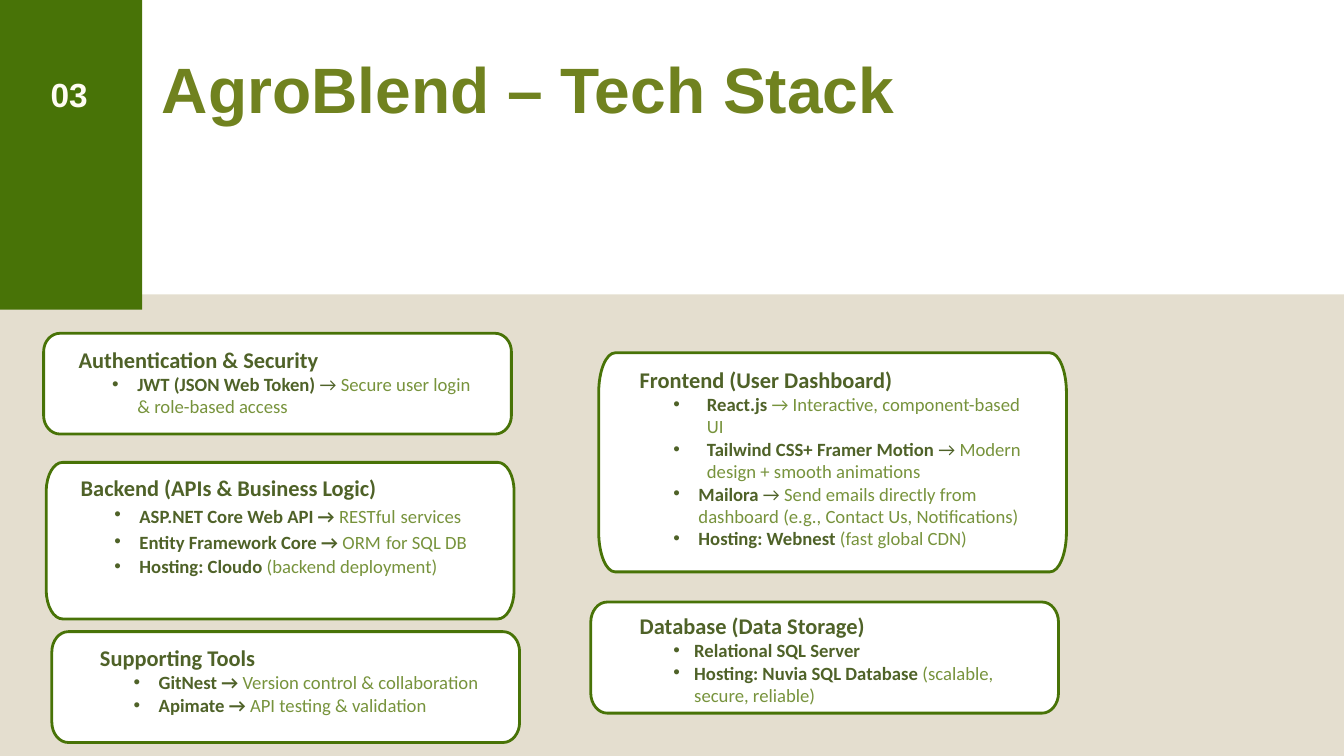
from dataclasses import dataclass

from lxml import etree
from pptx import Presentation
from pptx.dml.color import RGBColor
from pptx.enum.shapes import MSO_SHAPE
from pptx.enum.text import MSO_ANCHOR, MSO_AUTO_SIZE, PP_ALIGN
from pptx.oxml.ns import qn
from pptx.util import Cm, Pt

RECTANGLE = MSO_SHAPE.RECTANGLE
TOP = MSO_ANCHOR.TOP
NO_FIT = MSO_AUTO_SIZE.NONE
LEFT = PP_ALIGN.LEFT


@dataclass(frozen=True)
class Theme:
    """Colours, fonts and type sizes of the slide."""
    green: str = "487307"
    sand: str = "9D884E"
    sand_alpha: int = 27000
    card: str = "FFFFFF"
    number: str = "FFFCF3"
    title: str = "70821F"
    strong: str = "4F6228"
    soft: str = "77933C"
    gap: str = "000000"
    head_font: str = "Arial"
    body_font: str = "Calibri"
    number_size: float = 35.8
    title_size: float = 68.7
    heading_size: float = 24
    item_size: float = 20
    border: float = 3


THEME = Theme()
RUN_STYLES = {
    "heading": (THEME.heading_size, THEME.strong, True),
    "strong": (THEME.item_size, THEME.strong, True),
    "plain": (THEME.item_size, THEME.strong, False),
    "soft": (THEME.item_size, THEME.soft, False),
    "gap": (THEME.heading_size, THEME.gap, False),
}
NARROW, MEDIUM, WIDE = (2.06, 0.79), (2.22, 0.95), (2.54, 1.27)
CARD_WIDTH = 17.68
LIST_WIDTH = 15.06

CARDS = [
    ((1.65, 12.6, CARD_WIDTH, 3.81), (1.32, 0.48, LIST_WIDTH), "Authentication & Security", [
        (MEDIUM, [("JWT (JSON Web Token)", "strong"), (" → ", "plain"),
                  ("Secure user login & role-based access", "soft")]),
    ]),
    ((22.63, 13.34, CARD_WIDTH, 8.28), (1.55, 0.49, LIST_WIDTH), "Frontend (User Dashboard)", [
        (WIDE, [("React.js ", "strong"), ("→ Interactive, component-based UI", "soft")]),
        (WIDE, [("Tailwind CSS+ Framer Motion ", "strong"), ("→ ", "plain"),
                ("Modern design + smooth animations", "soft")]),
        (MEDIUM, [("Mailora ", "strong"), ("→ ", "plain"),
                  ("Send emails directly from dashboard (e.g., Contact Us, Notifications)", "soft")]),
        (MEDIUM, [("Hosting: Webnest ", "strong"), ("(fast global CDN)", "soft")]),
    ]),
    ((22.33, 22.76, CARD_WIDTH, 4.2), (1.85, 0.38, LIST_WIDTH), "Database (Data Storage)", [
        (NARROW, [("Relational SQL Server", "strong")]),
        (NARROW, [("Hosting: Nuvia SQL Database ", "strong"),
                  ("(scalable, secure, reliable)", "soft")]),
    ]),
    ((1.75, 17.48, CARD_WIDTH, 5.92), (1.3, 0.43, LIST_WIDTH), "Backend (APIs & Business Logic)", [
        (MEDIUM, [("ASP.NET Core Web API → ", "strong"), ("RESTful", "soft"),
                  (" ", "gap"), ("services", "soft")]),
        (MEDIUM, [("Entity Framework Core → ", "strong"), ("ORM", "soft"),
                  (" ", "gap"), ("for SQL DB", "soft")]),
        (MEDIUM, [("Hosting: Cloudo ", "strong"), ("(backend deployment)", "soft")]),
    ]),
    ((1.96, 23.88, CARD_WIDTH, 4.19), (1.82, 0.48, 14.55), "Supporting Tools", [
        (MEDIUM, [("GitNest → ", "strong"), ("Version control & collaboration", "soft")]),
        (MEDIUM, [("Apimate → ", "strong"), ("API testing & validation", "soft")]),
    ]),
]


def place(shape, box):
    """Move and size a shape to a box in centimetres."""
    shape.left, shape.top, shape.width, shape.height = map(Cm, box)


def prepare_frame(frame):
    """Give a text frame no insets, wrapping on and text from the top."""
    frame.margin_left = frame.margin_right = frame.margin_top = frame.margin_bottom = 0
    frame.word_wrap = True
    frame.auto_size = NO_FIT
    frame.vertical_anchor = TOP


def add_run(paragraph, text, font, size, color, bold):
    """Append one formatted run."""
    run = paragraph.add_run()
    run.text = text
    run.font.name = font
    run.font.size = Pt(size)
    run.font.bold = bold
    run.font.color.rgb = RGBColor.from_string(color)


def set_bullet(paragraph, indent):
    """Set a hanging bullet, or none when there is no indent."""
    properties = paragraph._p.get_or_add_pPr()
    margin, hanging = indent or (0, 0)
    properties.set("marL", str(Cm(margin)))
    properties.set("indent", str(-Cm(hanging)))
    if indent:
        etree.SubElement(properties, qn("a:buFont")).set("typeface", THEME.head_font)
        etree.SubElement(properties, qn("a:buChar")).set("char", "•")
    else:
        etree.SubElement(properties, qn("a:buNone"))


def add_panel(slide, box, color, alpha=None):
    """Add a plain borderless panel."""
    panel = slide.shapes.add_shape(RECTANGLE, *map(Cm, box))
    panel.shadow.inherit = False
    panel.line.fill.background()
    panel.fill.solid()
    panel.fill.fore_color.rgb = RGBColor.from_string(color)
    if alpha:
        tint = panel.fill._xPr.find(".//" + qn("a:srgbClr"))
        etree.SubElement(tint, qn("a:alpha")).set("val", str(alpha))


def add_header_line(shape, box, text, size, color, spacing):
    """Write one bold header line into a shape."""
    place(shape, box)
    prepare_frame(shape.text_frame)
    line = shape.text_frame.paragraphs[0]
    line.alignment = LEFT
    line.line_spacing = Pt(spacing)
    add_run(line, text, THEME.head_font, size, color, True)


def round_corners(card):
    """Turn every second segment of a chamfered outline into a curve."""
    points = list(card.element.iter(qn("a:pt")))
    segments = list(card.element.iter(qn("a:lnTo")))
    for index in range(1, len(segments), 2):
        start, end = [[int(point.get(axis)) for axis in "xy"] for point in points[index:index + 2]]
        corner = (end[0], start[1]) if index % 4 == 1 else (start[0], end[1])
        curve = etree.Element(qn("a:cubicBezTo"))
        for anchor in (start, end):
            handle = etree.SubElement(curve, qn("a:pt"))
            for axis, origin, target in zip("xy", anchor, corner):
                handle.set(axis, str(round(origin + 0.55 * (target - origin))))
        segments[index].getparent().replace(segments[index], curve)
        curve.append(points[index + 1])


def add_card_outline(slide, box):
    """Draw a card whose corners stretch with its height."""
    left, top, width, height = box
    right, bottom = left + width, top + height
    radius_x, radius_y = 0.62, 0.182 * height
    points = [(left + radius_x, top), (right - radius_x, top),
              (right, top + radius_y), (right, bottom - radius_y),
              (right - radius_x, bottom), (left + radius_x, bottom),
              (left, bottom - radius_y), (left, top + radius_y)]
    outline = [(Cm(x), Cm(y)) for x, y in points]
    builder = slide.shapes.build_freeform(*outline[0])
    builder.add_line_segments(outline[1:] + outline[:1], close=True)
    card = builder.convert_to_shape()
    round_corners(card)
    card.shadow.inherit = False
    card.fill.solid()
    card.fill.fore_color.rgb = RGBColor.from_string(THEME.card)
    card.line.color.rgb = RGBColor.from_string(THEME.green)
    card.line.width = Pt(THEME.border)


def add_card(slide, body, box, inset, heading, items):
    """Draw a card and fill its list with a heading and bullets."""
    add_card_outline(slide, box)
    slide.shapes.element.append(body.element)
    left, top, _, height = box
    offset_x, offset_y, list_width = inset
    place(body, (left + offset_x, top + offset_y, list_width, height - offset_y))
    frame = body.text_frame
    prepare_frame(frame)
    for index, (indent, runs) in enumerate([(None, [(heading, "heading")]), *items]):
        paragraph = frame.add_paragraph() if index else frame.paragraphs[0]
        paragraph.level = 1 if indent else 0
        set_bullet(paragraph, indent)
        paragraph.alignment = LEFT
        paragraph.space_before = Pt(0)
        for text, style in runs:
            add_run(paragraph, text, THEME.body_font, *RUN_STYLES[style])


def add_header(slide):
    """Place the ground, the number block and the title."""
    add_panel(slide, (-1.88, 11.13, 52.68, 38.3), THEME.sand, THEME.sand_alpha)
    add_panel(slide, (-1.68, -1.96, 7.05, 13.67), THEME.green)
    number_box = (1.91, 2.54, 2.13, 1.68)
    number = slide.shapes.add_textbox(*map(Cm, number_box))
    add_header_line(number, number_box, "03", THEME.number_size, THEME.number, 50.1)
    add_header_line(slide.shapes.title, (6.12, 2.51, 32.41, 2.44), "AgroBlend – Tech Stack",
                    THEME.title_size, THEME.title, 63.9)


def main():
    """Build the tech stack slide and save it."""
    deck = Presentation()
    deck.slide_width, deck.slide_height = Cm(50.8), Cm(28.58)
    slide = deck.slides.add_slide(deck.slide_layouts.get_by_name("Comparison"))
    bodies = list(slide.placeholders)[1:]
    bodies.append(slide.shapes.add_textbox(0, 0, Cm(1), Cm(1)))
    add_header(slide)
    for body, card in zip(bodies, CARDS):
        add_card(slide, body, *card)
    deck.save("out.pptx")


if __name__ == "__main__":
    main()
